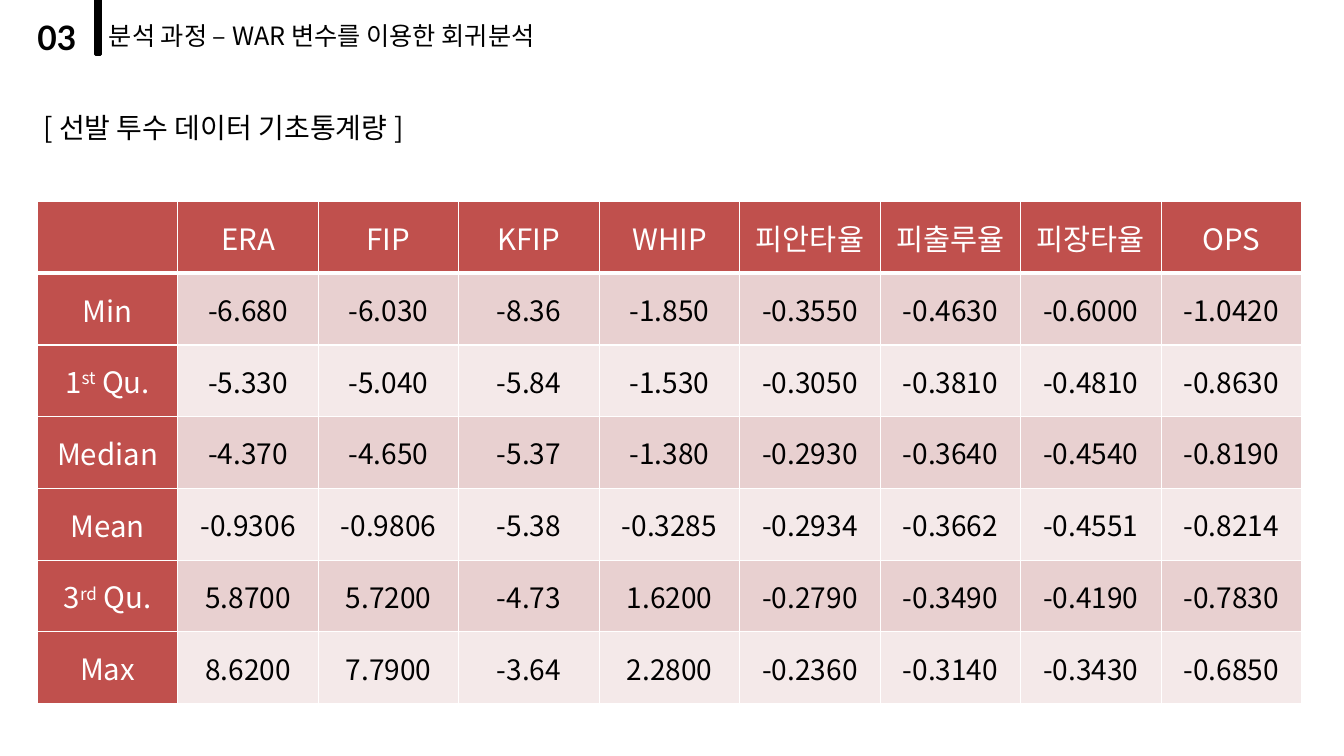
from lxml.etree import SubElement
from pptx import Presentation
from pptx.dml.color import RGBColor
from pptx.enum.shapes import MSO_SHAPE
from pptx.enum.text import MSO_ANCHOR, MSO_AUTO_SIZE, PP_ALIGN
from pptx.oxml.ns import qn
from pptx.util import Emu, Pt

PX = 9144  # 100 px to the inch
BLACK = RGBColor(0x00, 0x00, 0x00)
WHITE = RGBColor(0xFF, 0xFF, 0xFF)
RED = RGBColor(0xC0, 0x50, 0x4D)
BANDS = (RGBColor(0xE8, 0xD0, 0xD0), RGBColor(0xF4, 0xE9, 0xE9))
KOREAN = "Noto Sans CJK KR"
LATIN = "Lato"

COLUMNS = ["ERA", "FIP", "KFIP", "WHIP", "피안타율", "피출루율", "피장타율", "OPS"]
# Each row label is (text, superscript, text after it)
STATISTICS = [
    (("Min", "", ""), "-6.680 -6.030 -8.36 -1.850 -0.3550 -0.4630 -0.6000 -1.0420"),
    (("1", "st", " Qu."), "-5.330 -5.040 -5.84 -1.530 -0.3050 -0.3810 -0.4810 -0.8630"),
    (("Median", "", ""), "-4.370 -4.650 -5.37 -1.380 -0.2930 -0.3640 -0.4540 -0.8190"),
    (("Mean", "", ""), "-0.9306 -0.9806 -5.38 -0.3285 -0.2934 -0.3662 -0.4551 -0.8214"),
    (("3", "rd", " Qu."), "5.8700 5.7200 -4.73 1.6200 -0.2790 -0.3490 -0.4190 -0.7830"),
    (("Max", "", ""), "8.6200 7.7900 -3.64 2.2800 -0.2360 -0.3140 -0.3430 -0.6850"),
]


def px(*lengths):
    return [Emu(length * PX) for length in lengths]


def add_run(paragraph, text, size, color, font=KOREAN, bold=False, superscript=False):
    run = paragraph.add_run()
    run.text = text
    run.font.size = Pt(size)
    run.font.bold = bold
    run.font.color.rgb = color
    run.font.name = font
    properties = run._r.get_or_add_rPr()
    SubElement(properties, qn("a:ea")).set("typeface", font)
    if superscript:
        properties.set("baseline", "30000")


def add_text(slide, box, text, size, font=KOREAN, bold=False, align=PP_ALIGN.LEFT):
    frame = slide.shapes.add_textbox(*px(*box)).text_frame
    frame.word_wrap = True
    frame.auto_size = MSO_AUTO_SIZE.SHAPE_TO_FIT_TEXT
    frame.margin_left, frame.margin_right = px(8, 8)
    frame.margin_top, frame.margin_bottom = px(4, 4)
    paragraph = frame.paragraphs[0]
    paragraph.alignment = align
    add_run(paragraph, text, size, BLACK, font, bold)


def add_heading(slide, left, top):
    """Place the section number, the upright bar and the section title."""
    bar = slide.shapes.add_shape(MSO_SHAPE.RECTANGLE, *px(left + 48, top + 2, 73, 5))
    bar.rotation = 270
    bar.shadow.inherit = False
    bar.fill.solid()
    bar.fill.fore_color.rgb = BLACK
    bar.line.color.rgb = BLACK
    bar.line.width = Pt(2)
    add_text(slide, (left, top, 87, 49), "03", 24, LATIN, True, PP_ALIGN.CENTER)
    add_text(slide, (left + 87, top + 3, 472, 39),
             "분석 과정 – WAR 변수를 이용한 회귀분석", 18)


def style_cell(cell, fill, top=1, bottom=1):
    """Fill the cell and give it white borders, with widths in points."""
    properties = cell._tc.get_or_add_tcPr()
    for side, width in (("L", 1), ("R", 1), ("T", top), ("B", bottom)):
        line = SubElement(properties, qn(f"a:ln{side}"), w=str(Pt(width)))
        solid = SubElement(line, qn("a:solidFill"))
        SubElement(solid, qn("a:srgbClr"), val=str(WHITE))
    cell.fill.solid()
    cell.fill.fore_color.rgb = fill
    cell.vertical_anchor = MSO_ANCHOR.MIDDLE


def write_cell(cell, parts, size, color):
    """Write the parts centred, every second one as superscript."""
    paragraph = cell.text_frame.paragraphs[0]
    paragraph.alignment = PP_ALIGN.CENTER
    for index, part in enumerate(parts):
        if part:
            add_run(paragraph, part, size, color, superscript=index % 2 == 1)


def add_statistics_table(slide, left, top, width, height):
    row_count, column_count = len(STATISTICS) + 1, len(COLUMNS) + 1
    table = slide.shapes.add_table(
        row_count, column_count, *px(left, top, width, height)).table
    for column in table.columns:
        column.width = Emu(width * PX // column_count)
    for row in table.rows:
        row.height = Emu(height * PX // row_count)

    for column_index in range(column_count):
        style_cell(table.cell(0, column_index), RED, bottom=3)
    for column_index, name in enumerate(COLUMNS, 1):
        write_cell(table.cell(0, column_index), [name], 21, WHITE)

    for row_index, (label, values) in enumerate(STATISTICS, 1):
        top_width = 3 if row_index == 1 else 1
        label_cell = table.cell(row_index, 0)
        style_cell(label_cell, RED, top_width)
        write_cell(label_cell, label, 21, WHITE)
        for column_index, value in enumerate(values.split(), 1):
            cell = table.cell(row_index, column_index)
            style_cell(cell, BANDS[(row_index - 1) % 2], top_width)
            write_cell(cell, [value], 20, BLACK)


def main():
    presentation = Presentation()
    presentation.slide_width, presentation.slide_height = px(1333, 750)
    slide = presentation.slides.add_slide(presentation.slide_layouts[6])
    add_heading(slide, 13, 13)
    add_text(slide, (35, 106, 472, 42), "[ 선발 투수 데이터 기초통계량 ]", 20)
    add_statistics_table(slide, 37, 200, 1254, 498)
    presentation.save("out.pptx")


if __name__ == "__main__":
    main()
